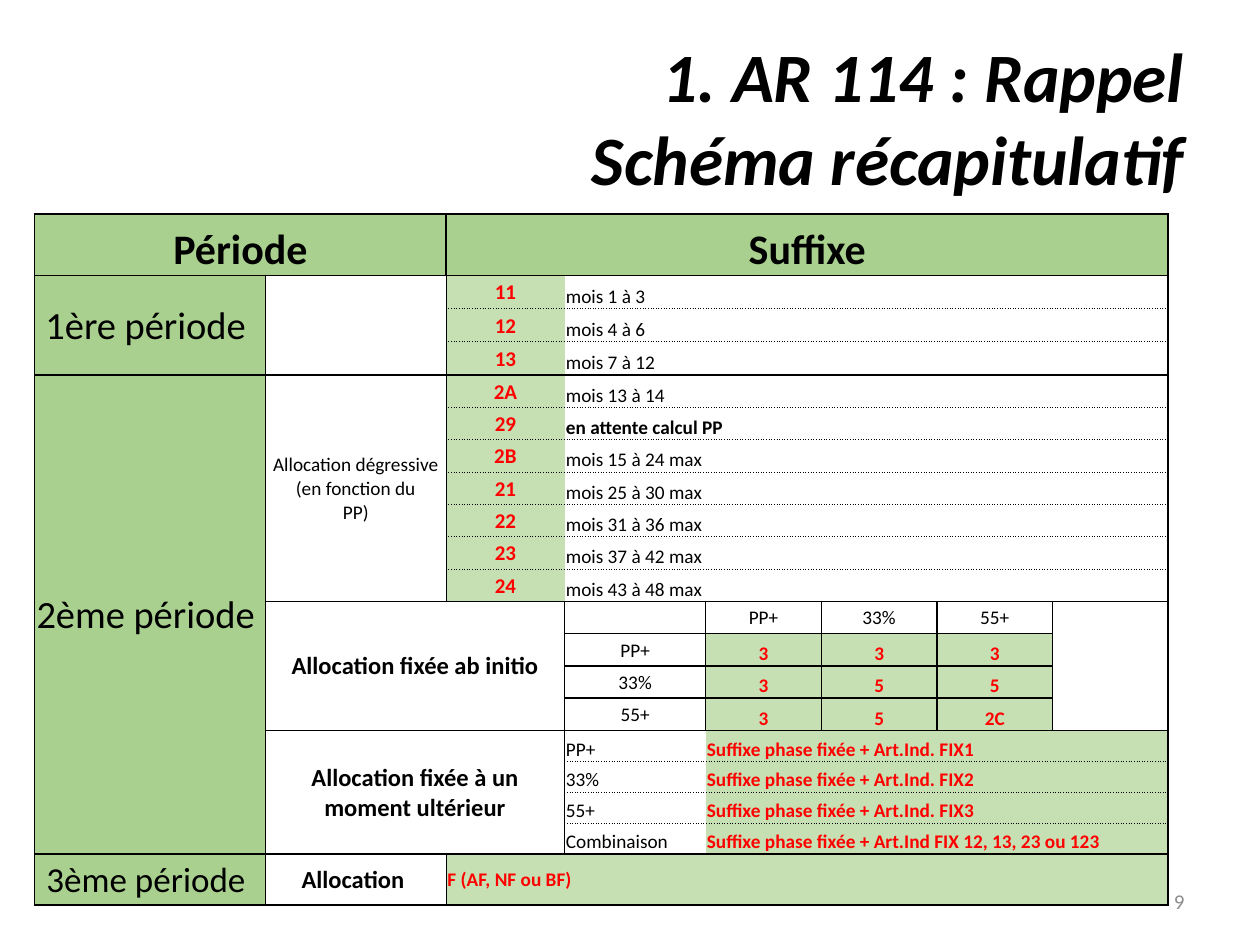
from dataclasses import dataclass
from itertools import product
from pptx import Presentation
from pptx.dml.color import RGBColor
from pptx.enum.text import MSO_ANCHOR, MSO_AUTO_SIZE, PP_ALIGN
from pptx.oxml import parse_xml
from pptx.oxml.ns import nsdecls
from pptx.util import Pt

HEADING = "1. AR 114 : Rappel\vSchéma récapitulatif"
PAGE_NUMBER = "9"
HEADERS = ["Période", "Suffixe"]
PERIODS = ["1ère période ", "2ème période ", "3ème période "]
DEGRESSIVE = "Allocation dégressive\v(en fonction du\vPP)"
FIXED_AT_START = "Allocation fixée ab initio"
FIXED_LATER = "Allocation fixée à un moment ultérieur"
THIRD_ALLOCATION = "Allocation "
THIRD_SUFFIX = "F (AF, NF ou BF)"
PENDING = "29"
SUFFIXES = [
    ("11", "mois 1 à 3"),
    ("12", "mois 4 à 6"),
    ("13", "mois 7 à 12"),
    ("2A", "mois 13 à 14"),
    (PENDING, "en attente calcul PP"),
    ("2B", "mois 15 à 24 max"),
    ("21", "mois 25 à 30 max"),
    ("22", "mois 31 à 36 max"),
    ("23", "mois 37 à 42 max"),
    ("24", "mois 43 à 48 max"),
]
CRITERIA = ["PP+", "33%", "55+"]
COMBINATIONS = [("3", "3", "3"), ("3", "5", "5"), ("3", "5", "2C")]
LATER_SUFFIXES = [
    ("PP+", "Suffixe phase fixée + Art.Ind. FIX1"),
    ("33%", "Suffixe phase fixée + Art.Ind. FIX2"),
    ("55+", "Suffixe phase fixée + Art.Ind. FIX3"),
    ("Combinaison", "Suffixe phase fixée + Art.Ind FIX 12, 13, 23 ou 123"),
]

COLUMN_WIDTHS = [131.8, 103.4, 67.7, 80.6] + [66.1] * 4
ROW_HEIGHTS = [35] + [19] * 3 + [18.5] * 7 + [18.4] * 4 + [17.7] * 4 + [29.1]
FIRST, SECOND, MATRIX, LATER, THIRD = 1, 4, 11, 15, 19


@dataclass(frozen=True)
class Theme:
    font: str = "Calibri"
    black: str = "000000"
    red: str = "FF0000"
    grey: str = "8C8C8C"
    dark_green: str = "A9D08E"
    light_green: str = "C6E0B4"
    title: float = 39.6
    header: float = 24
    period: float = 22
    last_period: float = 20
    allocation: float = 14
    code: float = 12
    small: float = 11


THEME = Theme()
LEFT, CENTER, RIGHT = PP_ALIGN.LEFT, PP_ALIGN.CENTER, PP_ALIGN.RIGHT
MIDDLE, BOTTOM = MSO_ANCHOR.MIDDLE, MSO_ANCHOR.BOTTOM

STYLES = {
    "header": (THEME.dark_green, THEME.header, THEME.black, True, CENTER, BOTTOM),
    "period": (THEME.dark_green, THEME.period, THEME.black, False, CENTER, MIDDLE),
    "last_period": (THEME.dark_green, THEME.last_period, THEME.black, False, CENTER, MIDDLE),
    "allocation": (None, THEME.allocation, THEME.black, True, CENTER, MIDDLE),
    "label": (None, THEME.small, THEME.black, False, CENTER, MIDDLE),
    "months": (None, THEME.small, THEME.black, False, LEFT, BOTTOM),
    "pending": (None, THEME.small, THEME.black, True, LEFT, BOTTOM),
    "code": (THEME.light_green, THEME.code, THEME.red, True, CENTER, MIDDLE),
    "result": (THEME.light_green, THEME.small, THEME.red, True, CENTER, BOTTOM),
    "suffix": (THEME.light_green, THEME.small, THEME.red, True, LEFT, BOTTOM),
    "last_suffix": (THEME.light_green, THEME.small, THEME.red, True, LEFT, MIDDLE),
}


def table_blocks():
    blocks = [
        (0, 0, 1, 2, HEADERS[0], "header"),
        (0, 2, 1, 6, HEADERS[1], "header"),
        (FIRST, 0, SECOND - FIRST, 1, PERIODS[0], "period"),
        (FIRST, 1, SECOND - FIRST, 1, "", "label"),
        (SECOND, 0, THIRD - SECOND, 1, PERIODS[1], "period"),
        (SECOND, 1, MATRIX - SECOND, 1, DEGRESSIVE, "label"),
        (MATRIX, 1, LATER - MATRIX, 2, FIXED_AT_START, "allocation"),
        (LATER, 1, THIRD - LATER, 2, FIXED_LATER, "allocation"),
        (THIRD, 0, 1, 1, PERIODS[2], "last_period"),
        (THIRD, 1, 1, 1, THIRD_ALLOCATION, "allocation"),
        (THIRD, 2, 1, 6, THIRD_SUFFIX, "last_suffix"),
    ]
    for row, (code, months) in enumerate(SUFFIXES, FIRST):
        blocks.append((row, 2, 1, 1, code, "code"))
        blocks.append((row, 3, 1, 5, months, "pending" if code == PENDING else "months"))
    matrix = [("", *CRITERIA, "")]
    matrix += [(name, *results, "") for name, results in zip(CRITERIA, COMBINATIONS)]
    for row, values in enumerate(matrix, MATRIX):
        for column, value in enumerate(values, 3):
            is_result = row > MATRIX and 3 < column < 7
            blocks.append((row, column, 1, 1, value, "result" if is_result else "label"))
    for row, (criterion, suffix) in enumerate(LATER_SUFFIXES, LATER):
        blocks.append((row, 3, 1, 1, criterion, "months"))
        blocks.append((row, 4, 1, 4, suffix, "suffix"))
    return blocks


def horizontal_line(y, column):
    in_months = FIRST < y < MATRIX and y != SECOND and column >= 2
    in_later = LATER < y < THIRD and column >= 3
    if in_months or in_later:
        return 0.5, "dot"
    if MATRIX < y < LATER and column == 7:
        return None
    return (0.5 if y in (MATRIX, LATER) else 1), "solid"


def vertical_line(x, row):
    if (x == 3 and FIRST <= row < MATRIX) or (x == 4 and LATER <= row < THIRD):
        return None
    return (0.5 if row > 0 and x in (1, 2, 3) else 1), "solid"


def draw_borders(cell, edges):
    properties = cell._tc.get_or_add_tcPr()
    for index, (side, line) in enumerate(edges.items()):
        if line:
            width, dash = line
            markup = (f'<a:ln{side} {nsdecls("a")} w="{Pt(width)}"><a:solidFill>'
                      f'<a:srgbClr val="{THEME.black}"/></a:solidFill>'
                      f'<a:prstDash val="{dash}"/></a:ln{side}>')
        else:
            markup = f'<a:ln{side} {nsdecls("a")} w="0"><a:noFill/></a:ln{side}>'
        properties.insert(index, parse_xml(markup))


def write(frame, text, size, color, bold, align, italic=False):
    frame.text = text
    for paragraph in frame.paragraphs:
        paragraph.alignment = align
        for run in paragraph.runs:
            run.font.name, run.font.size = THEME.font, Pt(size)
            run.font.bold, run.font.italic = bold, italic
            run.font.color.rgb = RGBColor.from_string(color)
        if not text:
            paragraph._p.append(parse_xml(f'<a:endParaRPr {nsdecls("a")} sz="{size * 100}"/>'))


def fill_block(table, row, column, height, width, text, style):
    fill, size, color, bold, align, anchor = STYLES[style]
    bottom, right = row + height, column + width
    if height * width > 1:
        table.cell(row, column).merge(table.cell(bottom - 1, right - 1))
    for r, c in product(range(row, bottom), range(column, right)):
        cell = table.cell(r, c)
        origin = (r, c) == (row, column)
        cell.margin_left = cell.margin_top = cell.margin_right = Pt(0.7)
        cell.margin_bottom = 0
        cell.vertical_anchor = anchor
        write(cell.text_frame, text if origin else "", size if origin else THEME.small,
              color, bold, align)
        if fill:
            cell.fill.solid()
            cell.fill.fore_color.rgb = RGBColor.from_string(fill)
        else:
            cell.fill.background()
        draw_borders(cell, {
            "L": vertical_line(column, r) if c == column else None,
            "R": vertical_line(right, r) if origin or c == right - 1 else None,
            "T": horizontal_line(row, c) if r == row else None,
            "B": horizontal_line(bottom, c) if origin or r == bottom - 1 else None,
        })


def main():
    deck = Presentation()
    deck.slide_width, deck.slide_height = Pt(720), Pt(540)
    slide = deck.slides.add_slide(deck.slide_layouts[5])

    heading = slide.shapes.title
    heading.left, heading.top, heading.width, heading.height = Pt(36), Pt(21.6), Pt(648), Pt(90)
    write(heading.text_frame, HEADING, THEME.title, THEME.black, True, RIGHT, italic=True)
    heading.text_frame.auto_size = MSO_AUTO_SIZE.NONE
    heading.text_frame.vertical_anchor = MIDDLE

    page_number = slide.shapes.add_textbox(Pt(516), Pt(500.5), Pt(168), Pt(28.75)).text_frame
    page_number.word_wrap = True
    page_number.vertical_anchor = MIDDLE
    write(page_number, PAGE_NUMBER, THEME.code, THEME.grey, False, RIGHT)

    table = slide.shapes.add_table(
        len(ROW_HEIGHTS), len(COLUMN_WIDTHS), Pt(19.8), Pt(122.4),
        Pt(sum(COLUMN_WIDTHS)), Pt(sum(ROW_HEIGHTS))).table
    table.first_row = table.horz_banding = False
    for column, width in zip(table.columns, COLUMN_WIDTHS):
        column.width = Pt(width)
    for row, height in zip(table.rows, ROW_HEIGHTS):
        row.height = Pt(height)
    for block in table_blocks():
        fill_block(table, *block)

    deck.save("out.pptx")


if __name__ == "__main__":
    main()
